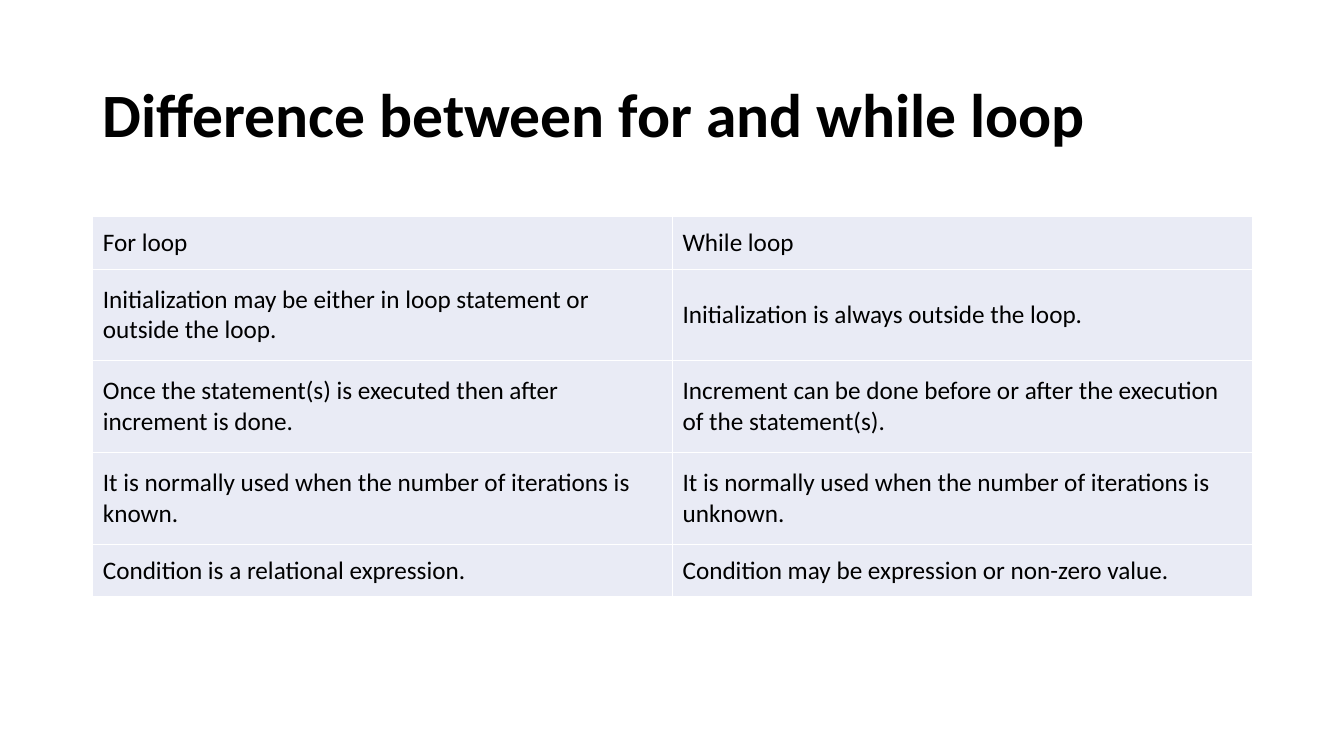
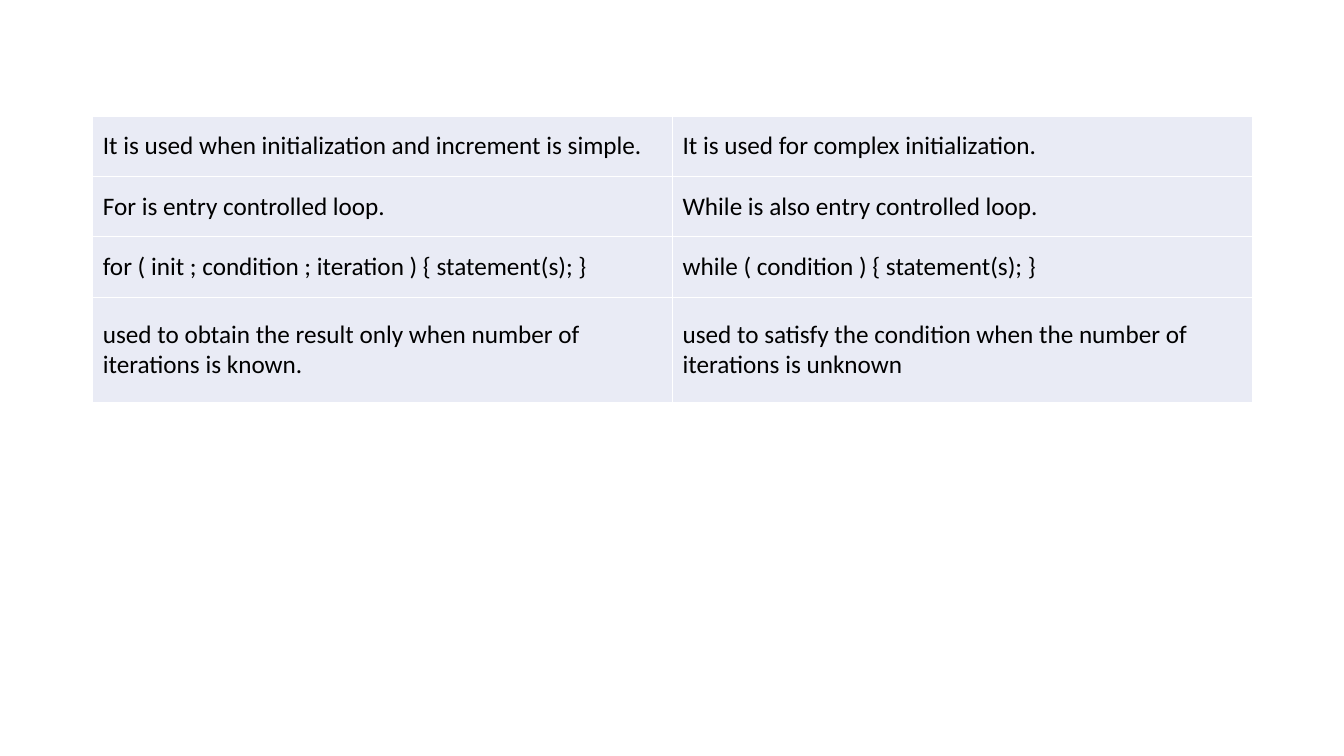
from dataclasses import dataclass

from lxml import etree
from pptx import Presentation
from pptx.dml.color import RGBColor
from pptx.enum.text import MSO_ANCHOR
from pptx.oxml.ns import qn
from pptx.slide import Slide
from pptx.table import _Cell
from pptx.text.text import _Paragraph
from pptx.util import Inches, Pt

MIDDLE = MSO_ANCHOR.MIDDLE
BLANK_LAYOUT = 6
BORDER_TAGS = ("a:lnL", "a:lnR", "a:lnT", "a:lnB")


@dataclass(frozen=True)
class Theme:
    font: str = "Calibri"
    text: str = "000000"
    cell_fill: str = "E9EBF5"
    border: str = "FFFFFF"
    border_points: float = 1
    title_size: float = 44
    body_size: float = 18
    left: float = 0.92
    width: float = 11.5


@dataclass(frozen=True)
class Row:
    height: float
    for_loop: str
    while_loop: str


@dataclass(frozen=True)
class ComparisonSlide:
    table_top: float
    rows: tuple[Row, ...]
    title: str = ""


THEME = Theme()

# Slide content
SLIDES = (
    ComparisonSlide(
        title="Difference between for and while loop",
        table_top=2.15,
        rows=(
            Row(0.52, "For loop", "While loop"),
            Row(0.91, "Initialization may be either in loop statement or outside the loop.",
                "Initialization is always outside the loop."),
            Row(0.91, "Once the statement(s) is executed then after increment is done.",
                "Increment can be done before or after the execution of the statement(s)."),
            Row(0.91, "It is normally used when the number of iterations is known.",
                "It is normally used when the number of iterations is unknown."),
            Row(0.52, "Condition is a relational expression.",
                "Condition may be expression or non-zero value."),
        ),
    ),
    ComparisonSlide(
        table_top=1.15,
        rows=(
            Row(0.6, "It is used when initialization and increment is simple.",
                "It is used for complex initialization."),
            Row(0.6, "For is entry controlled loop.", "While is also entry controlled loop."),
            Row(0.6, "for ( init ; condition ; iteration ) { statement(s); }",
                "while ( condition ) { statement(s); }"),
            Row(1.04, "used to obtain the result only when number of iterations is known.",
                "used to satisfy the condition when the number of iterations is unknown"),
        ),
    ),
)


def add_run(paragraph: _Paragraph, text: str, size: float, bold: bool = False) -> None:
    run = paragraph.add_run()
    run.text = text
    run.font.name = THEME.font
    run.font.size = Pt(size)
    run.font.bold = bold
    run.font.color.rgb = RGBColor.from_string(THEME.text)


def add_title(slide: Slide, text: str) -> None:
    shape = slide.shapes.add_textbox(
        Inches(THEME.left), Inches(0.44), Inches(THEME.width), Inches(1.45))
    frame = shape.text_frame
    frame.word_wrap = True
    frame.vertical_anchor = MIDDLE
    paragraph = frame.paragraphs[0]
    paragraph.line_spacing = 0.9
    add_run(paragraph, text, THEME.title_size, bold=True)


def add_borders(cell: _Cell) -> None:
    properties = cell._tc.get_or_add_tcPr()
    for tag in BORDER_TAGS:
        line = etree.SubElement(properties, qn(tag), w=str(Pt(THEME.border_points)))
        fill = etree.SubElement(line, qn("a:solidFill"))
        etree.SubElement(fill, qn("a:srgbClr"), val=THEME.border)


def fill_cell(cell: _Cell, text: str) -> None:
    add_borders(cell)
    cell.fill.solid()
    cell.fill.fore_color.rgb = RGBColor.from_string(THEME.cell_fill)
    cell.vertical_anchor = MIDDLE
    add_run(cell.text_frame.paragraphs[0], text, THEME.body_size)


def add_comparison_table(slide: Slide, top: float, rows: tuple[Row, ...]) -> None:
    height = sum(row.height for row in rows)
    table = slide.shapes.add_table(
        len(rows), 2, Inches(THEME.left), Inches(top),
        Inches(THEME.width), Inches(height)).table
    table.first_row = False
    table.horz_banding = False
    for index, row in enumerate(rows):
        table.rows[index].height = Inches(row.height)
        for column, text in enumerate((row.for_loop, row.while_loop)):
            fill_cell(table.cell(index, column), text)


# Build the presentation
presentation = Presentation()
presentation.slide_width = Inches(13.33)
presentation.slide_height = Inches(7.5)

for content in SLIDES:
    slide = presentation.slides.add_slide(presentation.slide_layouts[BLANK_LAYOUT])
    if content.title:
        add_title(slide, content.title)
    add_comparison_table(slide, content.table_top, content.rows)

presentation.save("out.pptx")
